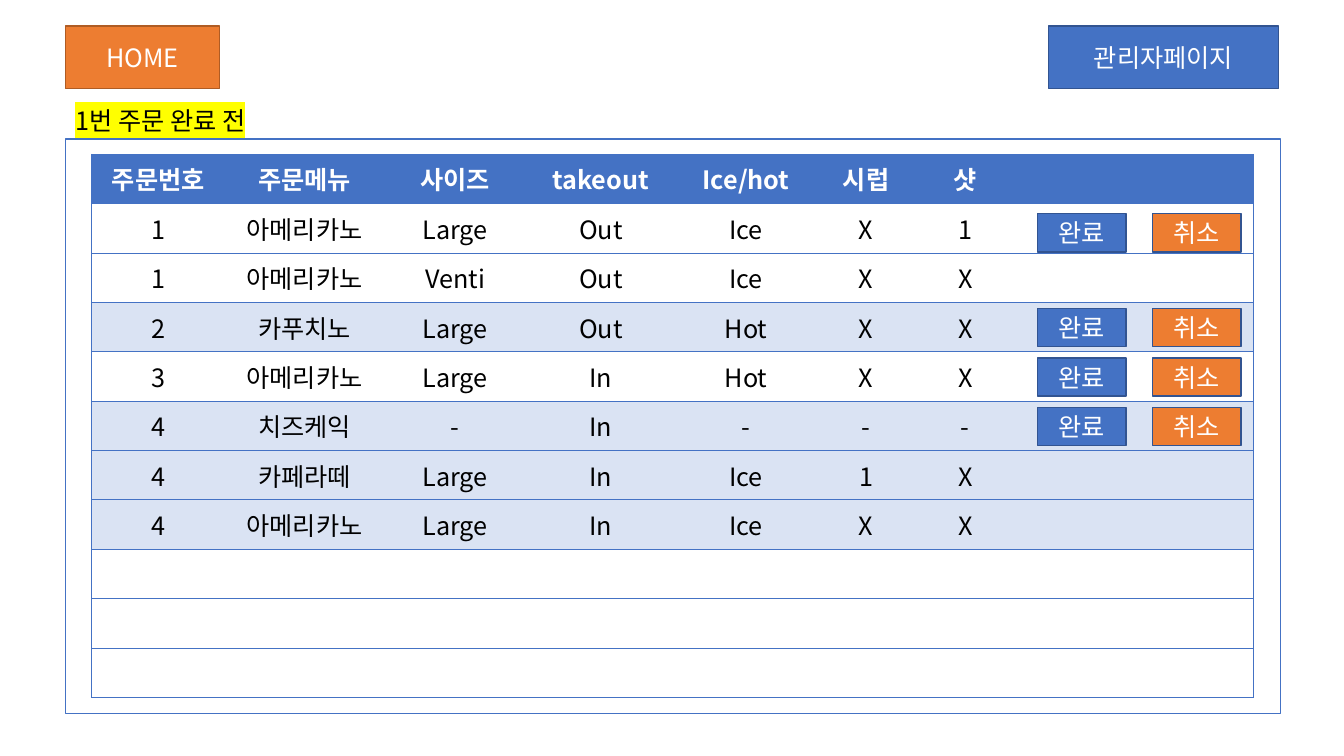
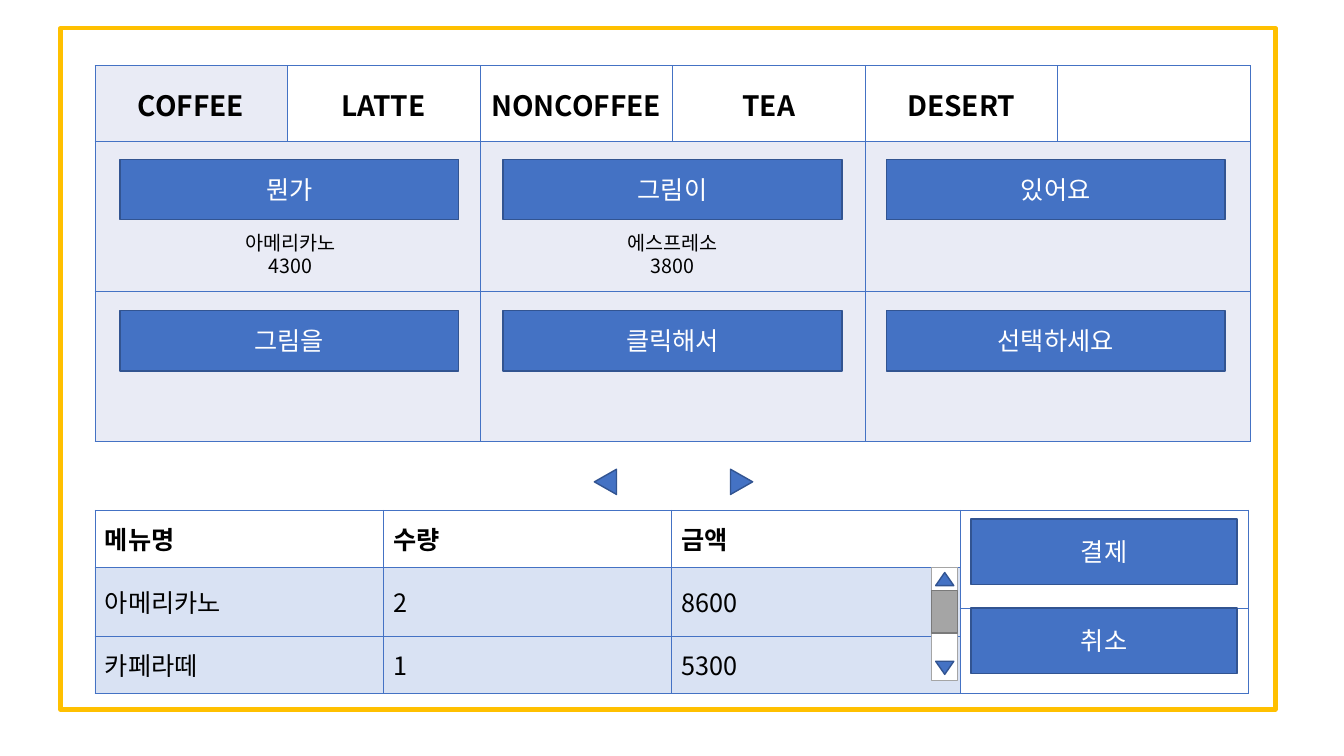
import lxml.etree
import pptx
import pptx.dml.color
import pptx.enum.shapes
import pptx.enum.text
import pptx.oxml.ns
import pptx.util

Inches = pptx.util.Inches
Pt = pptx.util.Pt
rgb = pptx.dml.color.RGBColor.from_string
qn = pptx.oxml.ns.qn
sub = lxml.etree.SubElement
Kind = pptx.enum.shapes.MSO_SHAPE
Align = pptx.enum.text.PP_ALIGN
Anchor = pptx.enum.text.MSO_ANCHOR

FONT = "Noto Sans CJK KR"
BLUE, NAVY, SOFT = "4472C4", "325491", "DAE3F3"
ORANGE, RUST, GOLD = "ED7D31", "AF5C24", "FFC000"
PALE, GREY, DARK = "E9EBF5", "A5A5A5", "7A7A7A"
WHITE, BLACK, YELLOW = "FFFFFF", "000000", "FFFF00"
PLAIN = "{2D5ABB26-0587-4C30-8999-92F81FD0307C}"  # table style without grid


def write(frame, text, size=18, color=BLACK, bold=False, align=Align.CENTER, mark=None):
    """Fill a text frame, one paragraph per line; mark is a highlight colour."""
    for i, line in enumerate(text.split("\n")):
        para = frame.add_paragraph() if i else frame.paragraphs[0]
        para.alignment = align
        run = para.add_run()
        run.text = line
        font = run.font
        font.size, font.bold = Pt(size), bold
        font.color.rgb = rgb(color)
        props = run._r.get_or_add_rPr()
        if mark:
            sub(sub(props, qn("a:highlight")), qn("a:srgbClr"), val=mark)
        font.name = FONT
        sub(props, qn("a:ea"), typeface=FONT)


def box(shapes, at, text="", fill=BLUE, line=NAVY, width=1, kind=Kind.RECTANGLE, turn=0):
    """Draw a filled shape, with white centred text if any."""
    shape = shapes.add_shape(kind, *map(Inches, at))
    shape.shadow.inherit = False
    shape.rotation = turn
    shape.fill.solid()
    shape.fill.fore_color.rgb = rgb(fill)
    shape.line.color.rgb = rgb(line)
    shape.line.width = Pt(width)
    if text:
        shape.text_frame.vertical_anchor = Anchor.MIDDLE
        write(shape.text_frame, text, color=WHITE)


deck = pptx.Presentation()
deck.slide_width, deck.slide_height = Inches(13.33), Inches(7.5)
admin, kiosk = [deck.slides.add_slide(deck.slide_layouts[6]).shapes for _ in range(2)]
box(admin, (0.65, 1.38, 12.05, 5.7), fill=WHITE, line=BLUE)
box(kiosk, (0.6, 0.28, 12.05, 6.76), fill=WHITE, line=GOLD, width=3)

# Tables
orders = [
    ["주문번호", "주문메뉴", "사이즈", "takeout", "Ice/hot", "시럽", "샷"],
    ["1", "아메리카노", "Large", "Out", "Ice", "X", "1"],
    ["1", "아메리카노", "Venti", "Out", "Ice", "X", "X"],
    ["2", "카푸치노", "Large", "Out", "Hot", "X", "X"],
    ["3", "아메리카노", "Large", "In", "Hot", "X", "X"],
    ["4", "치즈케익", "-", "In", "-", "-", "-"],
    ["4", "카페라떼", "Large", "In", "Ice", "1", "X"],
    ["4", "아메리카노", "Large", "In", "Ice", "X", "X"],
]
tabs = [["COFFEE", "LATTE", "NONCOFFEE", "TEA", "DESERT"]]
cart = [["메뉴명", "수량", "금액"], ["아메리카노", "2", "8600"], [], ["카페라떼", "1", "5300"]]

bands = [BLUE, None, None, SOFT, None, SOFT, SOFT, SOFT, None, None, None]
specs = [
    dict(on=admin, at=(0.91, 1.53), cols=[1.32, 1.58, 1.41, 1.48, 1.4, 0.98, 0.99, 1.18, 1.18],
         rows=[0.49] * 11, words=orders, fills=[[band] * 9 for band in bands],
         line=0.5, inner=False, head=WHITE),
    dict(on=kiosk, at=(0.94, 0.65), cols=[1.91] * 6, rows=[0.75, 1.49, 1.49], words=tabs,
         fills=[[PALE] + [WHITE] * 5, [PALE] * 6, [PALE] * 6], size=20, inset=0.01,
         spans=[(r, c, r, c + 1) for r in (1, 2) for c in (0, 2, 4)]),
    dict(on=kiosk, at=(0.94, 5.06), cols=[2.86] * 4, rows=[0.57, 0.39, 0.28, 0.57], words=cart,
         fills=[[None] * 4] * 4, align=Align.LEFT,
         spans=[(1, c, 2, c) for c in range(3)] + [(0, 3, 1, 3), (2, 3, 3, 3)]),
]
for spec in specs:
    cols, rows, words = spec["cols"], spec["rows"], spec["words"]
    area = map(Inches, (*spec["at"], sum(cols), sum(rows)))
    table = spec["on"].add_table(len(rows), len(cols), *area).table
    table.first_row = table.horz_banding = False
    table._tbl.tblPr.find(qn("a:tableStyleId")).text = PLAIN
    for col, wide in zip(table.columns, cols):
        col.width = Inches(wide)
    for r, high in enumerate(rows):
        table.rows[r].height = Inches(high)
        for c in range(len(cols)):
            cell = table.cell(r, c)
            cell.vertical_anchor = Anchor.MIDDLE
            if "inset" in spec:
                cell.margin_left = cell.margin_right = cell.margin_top = Inches(spec["inset"])
                cell.margin_bottom = 0
            inner = spec.get("inner", True)
            sides = {"L": inner or c == 0, "R": inner or c == len(cols) - 1, "T": True, "B": True}
            for side, drawn in sides.items():
                if drawn:
                    edge = sub(cell._tc.get_or_add_tcPr(), qn("a:ln" + side),
                               w=str(Pt(spec.get("line", 0.25))))
                    sub(sub(edge, qn("a:solidFill")), qn("a:srgbClr"), val=BLUE)
            fill = spec["fills"][r][c]
            if fill:
                cell.fill.solid()
                cell.fill.fore_color.rgb = rgb(fill)
            else:
                cell.fill.background()
            if r < len(words) and c < len(words[r]):
                write(cell.text_frame, words[r][c], spec.get("size", 18),
                      spec.get("head", BLACK) if r == 0 else BLACK, r == 0,
                      spec.get("align", Align.CENTER))
    for top, left, low, right in spec.get("spans", []):
        table.cell(top, left).merge(table.cell(low, right))

# The cart, the last table, has see-through rows
for r in range(1, 4):
    for c in range(3):
        cell = table.cell(r, c)
        cell.fill.solid()
        cell.fill.fore_color.rgb = rgb(BLUE)
        tint = cell._tc.tcPr.find(qn("a:solidFill")).find(qn("a:srgbClr"))
        sub(tint, qn("a:alpha"), val="20000")

# Admin page: buttons and heading
box(admin, (10.4, 0.26, 2.28, 0.62), "관리자페이지")
box(admin, (0.65, 0.26, 1.53, 0.62), "HOME", ORANGE, RUST)
for top in (2.12, 3.06, 3.55, 4.04):
    box(admin, (10.29, top, 0.88, 0.38), "완료")
    box(admin, (11.43, top, 0.88, 0.38), "취소", ORANGE)

# Kiosk page: menu, scroll bar, payment and paging
menu = ["뭔가", "그림이", "있어요", "그림을", "클릭해서", "선택하세요"]
for i, name in enumerate(menu):
    row, col = divmod(i, 3)
    box(kiosk, (1.19 + 3.8 * col, 1.58 + 1.5 * row, 3.36, 0.6), name)
bar = kiosk.add_group_shape().shapes
box(bar, (9.24, 5.63, 0.26, 1.12), fill=WHITE, line=GREY)
for top, turn in ((6.56, 180), (5.68, 0)):
    box(bar, (9.28, top, 0.18, 0.13), kind=Kind.ISOSCELES_TRIANGLE, turn=turn)
box(bar, (9.24, 5.86, 0.26, 0.42), fill=GREY, line=DARK)
for top, name in ((5.15, "결제"), (6.03, "취소")):
    box(kiosk, (9.63, top, 2.64, 0.65), name)
for left, turn in ((7.23, 90), (5.88, 270)):
    box(kiosk, (left, 4.67, 0.25, 0.22), kind=Kind.ISOSCELES_TRIANGLE, turn=turn)

# Free text
notes = [
    (admin, (0.65, 1, 6.13, 0.4), "1번 주문 완료 전", 18, Align.LEFT, YELLOW),
    (kiosk, (1.69, 2.24, 2.38, 0.57), "아메리카노\n4300", 14, Align.CENTER, None),
    (kiosk, (5.48, 2.24, 2.38, 0.57), "에스프레소\n3800", 14, Align.CENTER, None),
]
for shapes, at, text, size, align, mark in notes:
    frame = shapes.add_textbox(*map(Inches, at)).text_frame
    frame.word_wrap = True
    frame.auto_size = pptx.enum.text.MSO_AUTO_SIZE.SHAPE_TO_FIT_TEXT
    write(frame, text, size, align=align, mark=mark)

deck.save("out.pptx")
